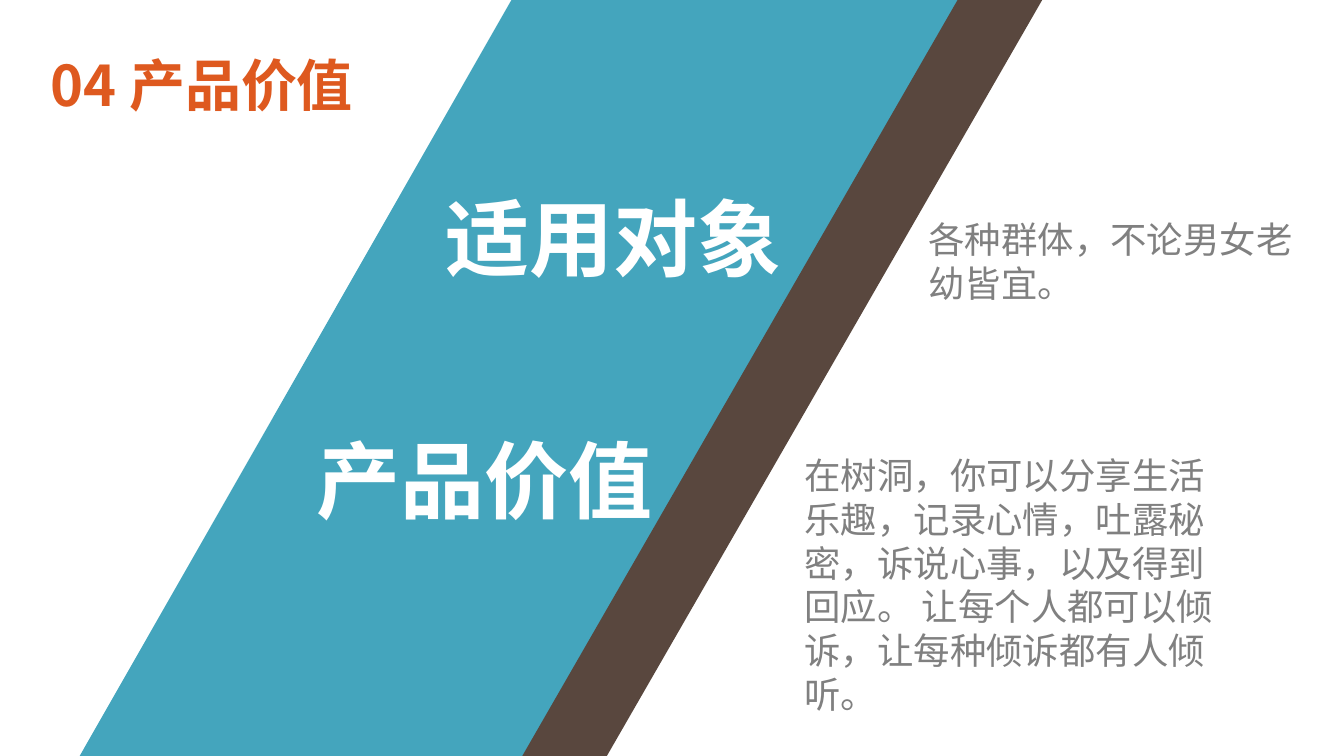
from lxml import etree
from pptx import Presentation
from pptx import util as u
from pptx.dml.color import RGBColor
from pptx.enum import shapes, text
from pptx.oxml.ns import qn

PX = u.Inches(1) // 100
FONT = "Noto Sans CJK SC"
COLORS = {"teal": "44A5BD", "brown": "59473E", "white": "FFFFFF",
          "gray": "808080", "orange": "DE591F"}


def px(*lengths):
    """Turn pixel lengths into EMU."""
    return [length * PX for length in lengths]


def color(name):
    """Return the named palette colour."""
    return RGBColor.from_string(COLORS[name])


def write_text(shape, content, size, fill, bold=False,
               anchor=text.MSO_ANCHOR.TOP, line_spacing=None,
               auto_size=text.MSO_AUTO_SIZE.SHAPE_TO_FIT_TEXT):
    """Write one left-aligned formatted paragraph into a shape."""
    frame = shape.text_frame
    frame.word_wrap = True
    frame.auto_size = auto_size
    frame.vertical_anchor = anchor
    paragraph = frame.paragraphs[0]
    paragraph.alignment = text.PP_ALIGN.LEFT
    paragraph.line_spacing = line_spacing
    run = paragraph.add_run()
    run.text = content
    run.font.size = u.Pt(size)
    run.font.bold = bold
    run.font.color.rgb = color(fill)
    run.font.name = FONT
    properties = run.font._element
    etree.SubElement(properties, qn("a:ea")).set("typeface", FONT)


def add_band(slide, left, width, slant, fill):
    """Add a slanted band over the full slide height."""
    band = slide.shapes.add_shape(shapes.MSO_SHAPE.PARALLELOGRAM,
                                  *px(left, -4, width, 754))
    band.adjustments[0] = slant
    band.shadow.inherit = False
    band.fill.solid()
    band.fill.fore_color.rgb = color(fill)
    band.line.fill.background()


def add_text(slide, box, content, **style):
    """Add a text box at a pixel box."""
    write_text(slide.shapes.add_textbox(*px(*box)), content, **style)


def set_title(slide, box, content, **style):
    """Place and fill the title placeholder."""
    title = slide.shapes.title
    title.left, title.top, title.width, title.height = px(*box)
    write_text(title, content, **style)


def main():
    """Build and save the product value slide."""
    presentation = Presentation()
    presentation.slide_width, presentation.slide_height = px(1333, 750)
    slide = presentation.slides.add_slide(presentation.slide_layouts[5])

    add_band(slide, 79, 879, 0.571, "teal")
    add_band(slide, 518, 518, 0.838, "brown")

    heading = {"size": 60, "fill": "white", "bold": True}
    body = {"size": 26, "fill": "gray"}
    add_text(slide, (432, 180, 418, 111), "适用对象", **heading)
    add_text(slide, (911, 211, 399, 97), "各种群体，不论男女老幼皆宜。", **body)
    add_text(slide, (304, 420, 418, 111), "产品价值", **heading)
    add_text(slide, (788, 445, 437, 273),
             "在树洞，你可以分享生活乐趣，记录心情，吐露秘密，诉说心事，以及得到回应。 "
             "让每个人都可以倾诉，让每种倾诉都有人倾听。", **body)
    set_title(slide, (40, 37, 559, 102), "04 产品价值", size=40, fill="orange",
              bold=True, anchor=text.MSO_ANCHOR.MIDDLE, line_spacing=0.9,
              auto_size=text.MSO_AUTO_SIZE.NONE)

    presentation.save("out.pptx")


if __name__ == "__main__":
    main()
